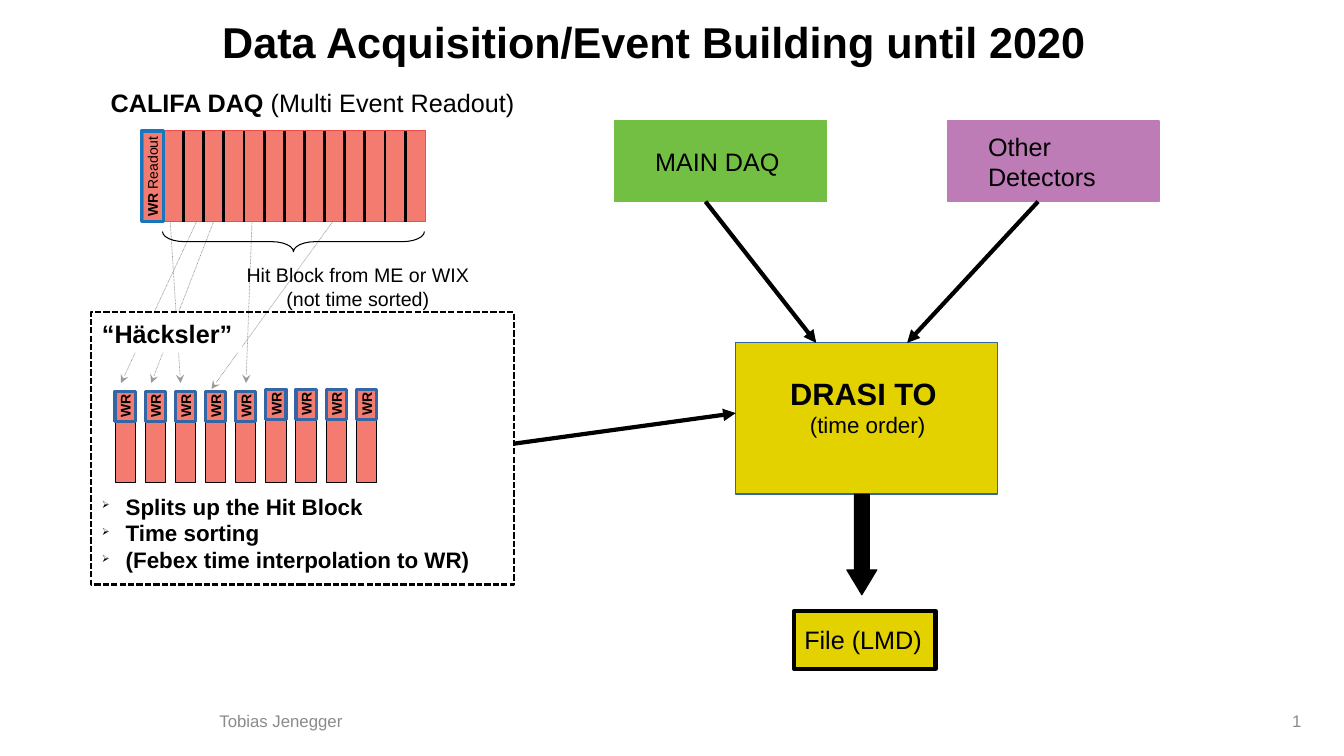
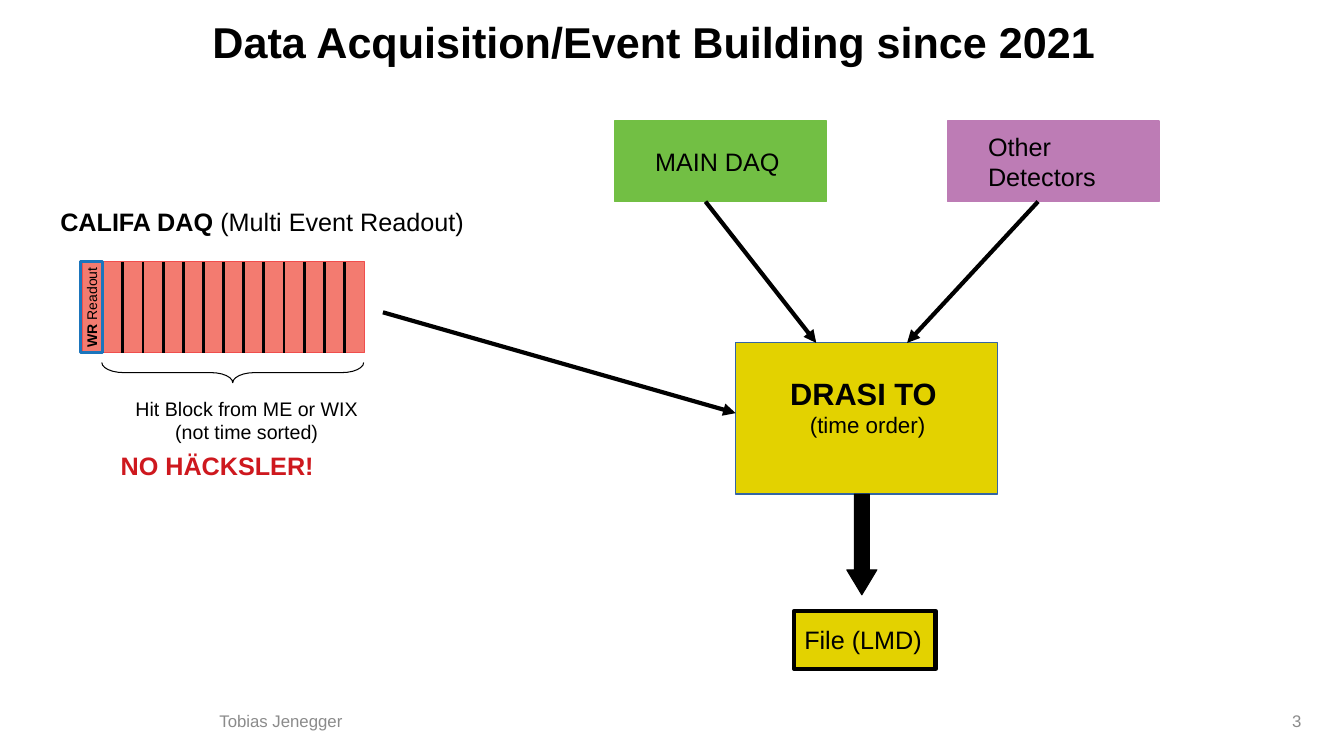
from dataclasses import dataclass
from typing import Optional, Sequence

from lxml.etree import SubElement
from pptx import Presentation
from pptx.dml.color import RGBColor
from pptx.enum.dml import MSO_LINE
from pptx.enum.shapes import MSO_CONNECTOR, MSO_SHAPE
from pptx.enum.text import MSO_ANCHOR, PP_ALIGN
from pptx.oxml.ns import qn
from pptx.util import Cm, Pt


@dataclass(frozen=True)
class Theme:
    font: str = "Arial"
    black: str = "000000"
    white: str = "FFFFFF"
    grey: str = "8B8B8B"
    hit_line: str = "999999"
    alert: str = "CE181E"
    salmon: str = "F37B70"
    salmon_edge: str = "F04E4D"
    readout_blue: str = "1B75BC"
    box_blue: str = "3465A4"
    green: str = "72BF44"
    purple: str = "BD7CB5"
    yellow: str = "E3D200"
    title: float = 30.8
    node: float = 22
    body: float = 18
    item: float = 16
    caption: float = 14
    footer: float = 12
    tag: float = 10
    hairline: float = 0
    frame_line: float = 2.3
    heavy_line: float = 3


T = Theme()


@dataclass(frozen=True)
class Box:
    """Left, top, width and height in centimetres."""
    left: float
    top: float
    width: float
    height: float

    def lengths(self) -> tuple:
        return Cm(self.left), Cm(self.top), Cm(self.width), Cm(self.height)


@dataclass(frozen=True)
class Run:
    text: str
    size: float = T.body
    bold: bool = False
    color: str = T.black


@dataclass(frozen=True)
class Arrow:
    """Start and end points in centimetres."""
    x1: float
    y1: float
    x2: float
    y2: float


@dataclass(frozen=True)
class Node:
    box: Box
    fill: str
    line: str
    width: float
    paragraphs: Sequence[Sequence[Run]]
    insets: tuple
    align: PP_ALIGN = PP_ALIGN.LEFT


NODES = (
    Node(Box(18.54, 8.64, 6.6, 3.81), T.yellow, T.box_blue, T.hairline,
         [[Run("DRASI TO ", T.node, True)], [Run("(time order)", T.item)]],
         (0.25, 0, 0.2, 0.6), PP_ALIGN.CENTER),
    Node(Box(15.49, 3.05, 5.33, 2.03), T.green, T.green, T.hairline,
         [[Run("MAIN DAQ")]], (1.02, 0, 0.76, 0)),
    Node(Box(23.88, 3.05, 5.33, 2.03), T.purple, T.purple, T.hairline,
         [[Run("Other Detectors")]], (1.02, 0, 0.76, 0)),
    Node(Box(20.02, 15.39, 3.56, 1.47), T.yellow, T.black, T.heavy_line,
         [[Run("File (LMD)")]], (0.25, 0, 0, 0)),
)
NODE_ARROWS = (Arrow(17.78, 5.08, 20.57, 8.64), Arrow(26.16, 5.08, 22.86, 8.64))
HIT_ARROWS = (
    Arrow(4.29, 5.59, 4.55, 9.65),
    Arrow(4.95, 5.59, 3.05, 9.65),
    Arrow(5.38, 5.59, 3.81, 9.65),
    Arrow(8.38, 5.59, 5.33, 9.8),
    Arrow(6.35, 5.59, 6.2, 9.65),
)


def write(sp, paragraphs: Sequence[Sequence[Run]], align: PP_ALIGN = PP_ALIGN.LEFT,
          anchor: MSO_ANCHOR = MSO_ANCHOR.TOP, insets: tuple = (0.25, 0.13, 0.25, 0.13)):
    """Fill a shape with paragraphs of runs; insets are left, top, right, bottom."""
    tf = sp.text_frame
    tf.word_wrap = True
    tf.vertical_anchor = anchor
    tf.margin_left, tf.margin_top, tf.margin_right, tf.margin_bottom = map(Cm, insets)
    for i, runs in enumerate(paragraphs):
        p = tf.add_paragraph() if i else tf.paragraphs[0]
        p.alignment = align
        p.text = runs[0].text
        for extra in runs[1:]:
            p.add_run().text = extra.text
        for r, style in zip(p.runs, runs):
            r.font.name = T.font
            r.font.size = Pt(style.size)
            r.font.bold = style.bold
            r.font.color.rgb = RGBColor.from_string(style.color)
    return tf


def add_text(s, box: Box, *runs: Run, align: PP_ALIGN = PP_ALIGN.LEFT,
             anchor: MSO_ANCHOR = MSO_ANCHOR.TOP):
    return write(s.shapes.add_textbox(*box.lengths()), [runs], align, anchor)


def add_shape(s, box: Box, fill: Optional[str] = None, line: Optional[str] = None,
              width: float = T.hairline, kind: MSO_SHAPE = MSO_SHAPE.RECTANGLE):
    sp = s.shapes.add_shape(kind, *box.lengths())
    sp.shadow.inherit = False
    if fill:
        sp.fill.solid()
        sp.fill.fore_color.rgb = RGBColor.from_string(fill)
    else:
        sp.fill.background()
    if line:
        sp.line.color.rgb = RGBColor.from_string(line)
        sp.line.width = Pt(width)
    else:
        sp.line.fill.background()
    return sp


def add_line(s, a: Arrow, color: str = T.black, width: float = T.hairline,
             head: Optional[str] = None, dash: Optional[MSO_LINE] = None) -> None:
    c = s.shapes.add_connector(MSO_CONNECTOR.STRAIGHT, Cm(a.x1), Cm(a.y1), Cm(a.x2), Cm(a.y2))
    c.line.color.rgb = RGBColor.from_string(color)
    c.line.width = Pt(width)
    if dash:
        c.line.dash_style = dash
    if head:
        SubElement(c.line._get_or_add_ln(), qn("a:tailEnd"), type=head)
    SubElement(c._element.spPr, qn("a:effectLst"))


def add_tag(s, box: Box, fill: Optional[str], line: str, *runs: Run) -> None:
    """Blue-framed cell whose text reads upwards."""
    sp = add_shape(s, box, fill, line, T.frame_line)
    tf = write(sp, [runs], PP_ALIGN.CENTER, MSO_ANCHOR.MIDDLE, (0, 0, 0, 0))
    tf.word_wrap = False
    tf._txBody.bodyPr.set("vert", "vert270")


def add_bullet(p) -> None:
    pPr = p._p.get_or_add_pPr()
    pPr.set("marL", str(Cm(0.6)))
    pPr.set("indent", str(-Cm(0.6)))
    color = SubElement(pPr, qn("a:buClr"))
    SubElement(color, qn("a:srgbClr"), val=T.black)
    SubElement(pPr, qn("a:buSzPct"), val="45000")
    SubElement(pPr, qn("a:buChar"), char="➢")


def draw_frame(s, title: str, number: str) -> None:
    """Title, author and slide number."""
    tf = add_text(s, Box(2.34, 0.56, 28.3, 1.27), Run(title, T.title, True),
                  align=PP_ALIGN.CENTER, anchor=MSO_ANCHOR.MIDDLE)
    tf.paragraphs[0].line_spacing = 0.7
    add_text(s, Box(5.28, 17.65, 4.65, 1.02), Run("Tobias Jenegger", T.footer, color=T.grey),
             anchor=MSO_ANCHOR.MIDDLE)
    add_text(s, Box(25.43, 17.65, 7.62, 1.02), Run(number, T.footer, color=T.grey),
             align=PP_ALIGN.RIGHT, anchor=MSO_ANCHOR.MIDDLE)


def draw_readout(s, left: float, top: float, heading: Box, caption: Box) -> None:
    """CALIFA event block: one WR cell, thirteen hit cells and a brace below."""
    width, height, cells = 7.11, 2.29, 14
    add_text(s, heading, Run("CALIFA DAQ", bold=True), Run(" (Multi Event Readout)"))
    add_shape(s, Box(left, top, width, height), T.salmon, T.salmon_edge)
    for i in range(1, cells):
        x = left + i * width / cells
        add_line(s, Arrow(x, top, x, top + height))
    add_tag(s, Box(left - 0.05, top, 0.56, height), None, T.readout_blue,
            Run("WR", T.tag, True), Run(" Readout", T.tag))
    brace = add_shape(s, Box(left + 3.53, top - 0.51, 0.51, 6.6), line=T.black,
                      kind=MSO_SHAPE.RIGHT_BRACE)
    brace.adjustments[0] = 1.08
    brace.rotation = 90
    add_text(s, caption, Run("Hit Block from ME or WIX (not time sorted)", T.caption),
             align=PP_ALIGN.CENTER)


def draw_event_building(s, source: tuple) -> None:
    """DAQ nodes, time ordering and file output, fed from the source point."""
    for node in NODES:
        sp = add_shape(s, node.box, node.fill, node.line, node.width)
        write(sp, node.paragraphs, node.align, MSO_ANCHOR.MIDDLE, node.insets)
    for a in (Arrow(*source, 18.54, 10.41), *NODE_ARROWS):
        add_line(s, a, width=T.heavy_line, head="triangle")
    down = add_shape(s, Box(21.34, 12.45, 0.76, 2.54), T.black, T.black,
                     kind=MSO_SHAPE.DOWN_ARROW)
    down.adjustments[0] = 0.5
    down.adjustments[1] = 0.83


def draw_haecksler(s) -> None:
    """Dashed box with the single hits and the list of its tasks."""
    left, top = 2.29, 7.87
    add_shape(s, Box(left, top, 3.81, 1.02), T.white)
    for i in range(9):
        x, y = 2.9 + 0.76 * i, 9.86
        add_shape(s, Box(x, y, 0.51, 2.29), T.salmon, T.black)
        tag_top = y if i < 5 else y - 0.05
        add_tag(s, Box(x, tag_top, 0.51, 0.76), T.salmon, T.box_blue, Run("WR", T.tag, True))
    sp = add_shape(s, Box(left, top, 10.67, 6.86), line=T.black, width=1.5)
    sp.line.dash_style = MSO_LINE.SQUARE_DOT
    tasks = ("Splits up the Hit Block", "Time sorting", "(Febex time interpolation to WR)")
    tf = write(sp, [[Run("“Häcksler”", bold=True)], *([Run(t, T.item, True)] for t in tasks)],
               insets=(0.28, 0.15, 0.28, 0.15))
    items = tf.paragraphs[1:]
    items[0].space_before = Pt(103)
    for p in items:
        add_bullet(p)


def build_until_2020(s) -> None:
    draw_frame(s, "Data Acquisition/Event Building until 2020", "1")
    for a in HIT_ARROWS:
        add_line(s, a, T.hit_line, 0.5, "stealth", MSO_LINE.ROUND_DOT)
    draw_readout(s, 3.61, 3.3, Box(2.54, 2.08, 12.95, 1.68), Box(5.59, 6.5, 6.86, 1.37))
    draw_haecksler(s)
    draw_event_building(s, (12.95, 11.18))


def build_since_2021(s) -> None:
    draw_frame(s, "Data Acquisition/Event Building since 2021", "3")
    draw_readout(s, 2.08, 6.6, Box(1.27, 5.08, 11.68, 0.97), Box(2.79, 9.86, 6.86, 1.37))
    draw_event_building(s, (9.65, 7.87))
    add_text(s, Box(2.79, 11.23, 11.18, 0.97), Run("NO HÄCKSLER!", bold=True, color=T.alert))


def main() -> None:
    prs = Presentation()
    prs.slide_width, prs.slide_height = Cm(33.87), Cm(19.05)
    for build in (build_until_2020, build_since_2021):
        build(prs.slides.add_slide(prs.slide_layouts[6]))
    prs.save("out.pptx")


if __name__ == "__main__":
    main()
